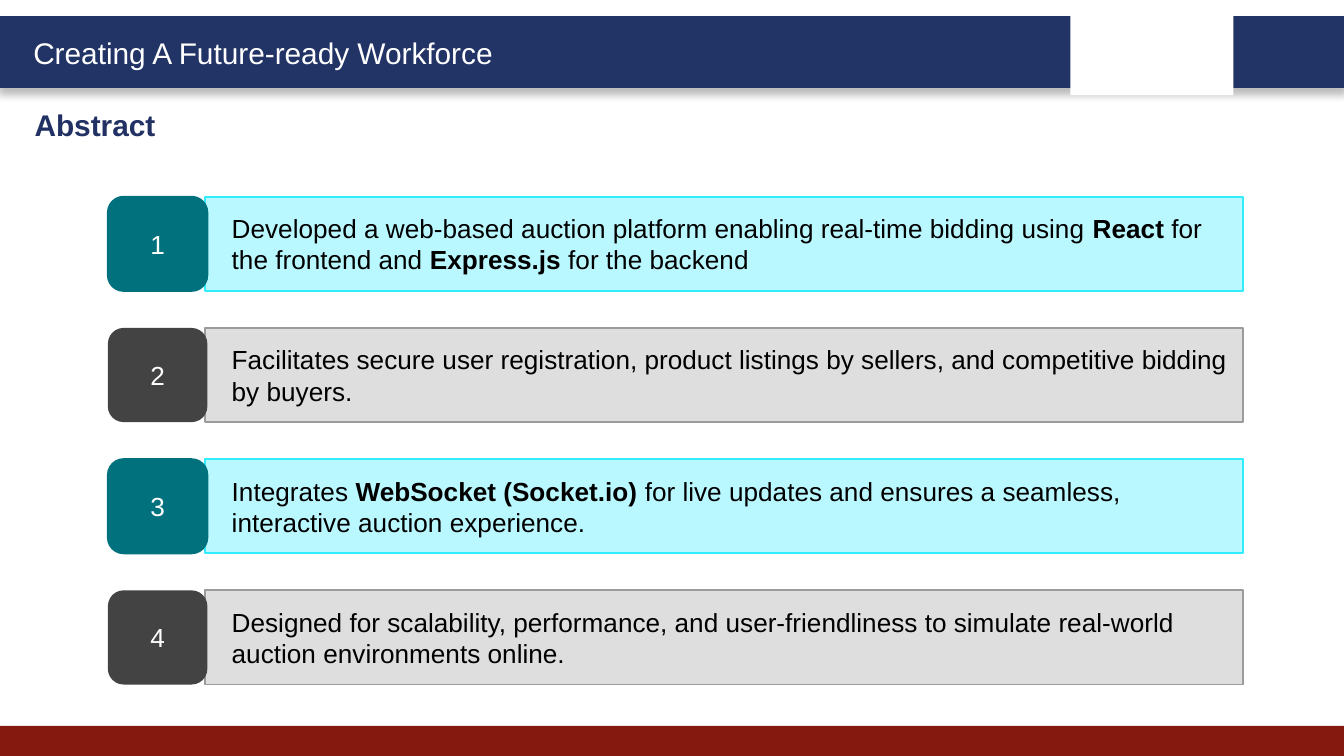
from lxml import etree
from pptx import Presentation
from pptx.dml import color
from pptx.enum import shapes, text
from pptx.oxml import ns
from pptx.util import Cm, Pt

FONT = "Arial"
NAVY, RED, WHITE, BLACK = "223366", "851910", "FFFFFF", "000000"

# Row themes: badge fill, bar fill, bar outline
TEAL = ("00717D", "BAF8FF", "31EBFF")
GREY = ("434343", "DEDEDE", "9B9B9B")

# Each point is a list of (words, bold) runs
POINTS = [
    [("Developed a web-based auction platform enabling real-time bidding using ", False),
     ("React", True),
     (" for the frontend and ", False),
     ("Express.js", True),
     (" for the backend", False)],
    [("Facilitates secure user registration, product listings by sellers, "
      "and competitive bidding by buyers.", False)],
    [("Integrates ", False),
     ("WebSocket (Socket.io)", True),
     (" for live updates and ensures a seamless, interactive auction experience.", False)],
    [("Designed for scalability, performance, and user-friendliness to simulate "
      "real-world auction environments online.", False)],
]

ROW_TOP, ROW_PITCH, ROW_HEIGHT = 3.72, 2.48, 1.78


def rgb(hex_code):
    return color.RGBColor.from_string(hex_code)


def add_block(parent, preset, left, top, width, height, fill, outline=None, weight=1):
    block = parent.add_shape(preset, Cm(left), Cm(top), Cm(width), Cm(height))
    block.shadow.inherit = False
    block.fill.solid()
    block.fill.fore_color.rgb = rgb(fill)
    if outline:
        block.line.color.rgb = rgb(outline)
        block.line.width = Pt(weight)
    else:
        block.line.fill.background()
    return block


def add_soft_shadow(block):
    effects = block._element.spPr.find(ns.qn("a:effectLst"))
    shadow = etree.SubElement(effects, ns.qn("a:outerShdw"), blurRad=str(Pt(4)),
                              dist=str(Pt(3)), dir="5400000", rotWithShape="0")
    tone = etree.SubElement(shadow, ns.qn("a:srgbClr"), val=BLACK)
    etree.SubElement(tone, ns.qn("a:alpha"), val="25000")


def write(frame, runs, size, ink, align=text.PP_ALIGN.LEFT, anchor=text.MSO_ANCHOR.MIDDLE):
    frame.word_wrap = True
    frame.vertical_anchor = anchor
    paragraph = frame.paragraphs[0]
    paragraph.alignment = align
    for words, bold in runs:
        run = paragraph.add_run()
        run.text = words
        run.font.name = FONT
        run.font.size = Pt(size)
        run.font.bold = bold
        run.font.color.rgb = rgb(ink)
    return paragraph


def add_frame(slide):
    rect = shapes.MSO_SHAPE.RECTANGLE
    header = add_block(slide.shapes, rect, 0, 0.33, 25.4, 1.3, NAVY, NAVY, 2)
    add_soft_shadow(header)
    add_block(slide.shapes, rect, 0, 13.72, 25.4, 0.57, RED)
    # White panel at the right of the header
    add_block(slide.shapes, rect, 20.23, 0.18, 3.08, 1.62, WHITE)
    slogan = slide.shapes.add_textbox(Cm(0.38), Cm(0.53), Cm(9.6), Cm(0.94))
    write(slogan.text_frame, [("Creating A Future-ready Workforce", False)], 16, WHITE,
          anchor=text.MSO_ANCHOR.TOP)


def set_title(slide, words):
    title = slide.shapes.title
    title.left, title.top, title.width, title.height = Cm(0.4), Cm(1.89), Cm(12.29), Cm(0.94)
    write(title.text_frame, [(words, True)], 16, "213163", anchor=text.MSO_ANCHOR.TOP)


def add_point(parent, number, runs, theme):
    badge_fill, bar_fill, bar_outline = theme
    top = ROW_TOP + (number - 1) * ROW_PITCH
    bar = add_block(parent, shapes.MSO_SHAPE.RECTANGLE, 3.88, top, 19.61, ROW_HEIGHT,
                    bar_fill, bar_outline)
    paragraph = write(bar.text_frame, runs, 14, BLACK)
    paragraph._p.get_or_add_pPr().set("marL", str(Cm(0.25)))
    badge = add_block(parent, shapes.MSO_SHAPE.ROUNDED_RECTANGLE, 2.04, top, 1.88, ROW_HEIGHT,
                      badge_fill, badge_fill if theme is TEAL else None)
    write(badge.text_frame, [(str(number), False)], 14, WHITE, text.PP_ALIGN.CENTER)


def main():
    deck = Presentation()
    deck.slide_width, deck.slide_height = Cm(25.4), Cm(14.29)
    slide = deck.slides.add_slide(deck.slide_layouts[5])

    # Header, footer and title
    add_frame(slide)
    set_title(slide, "Abstract")

    # Numbered points in alternating themes
    points = slide.shapes.add_group_shape().shapes
    for number, runs in enumerate(POINTS, start=1):
        add_point(points, number, runs, TEAL if number % 2 else GREY)

    deck.save("out.pptx")


if __name__ == "__main__":
    main()
